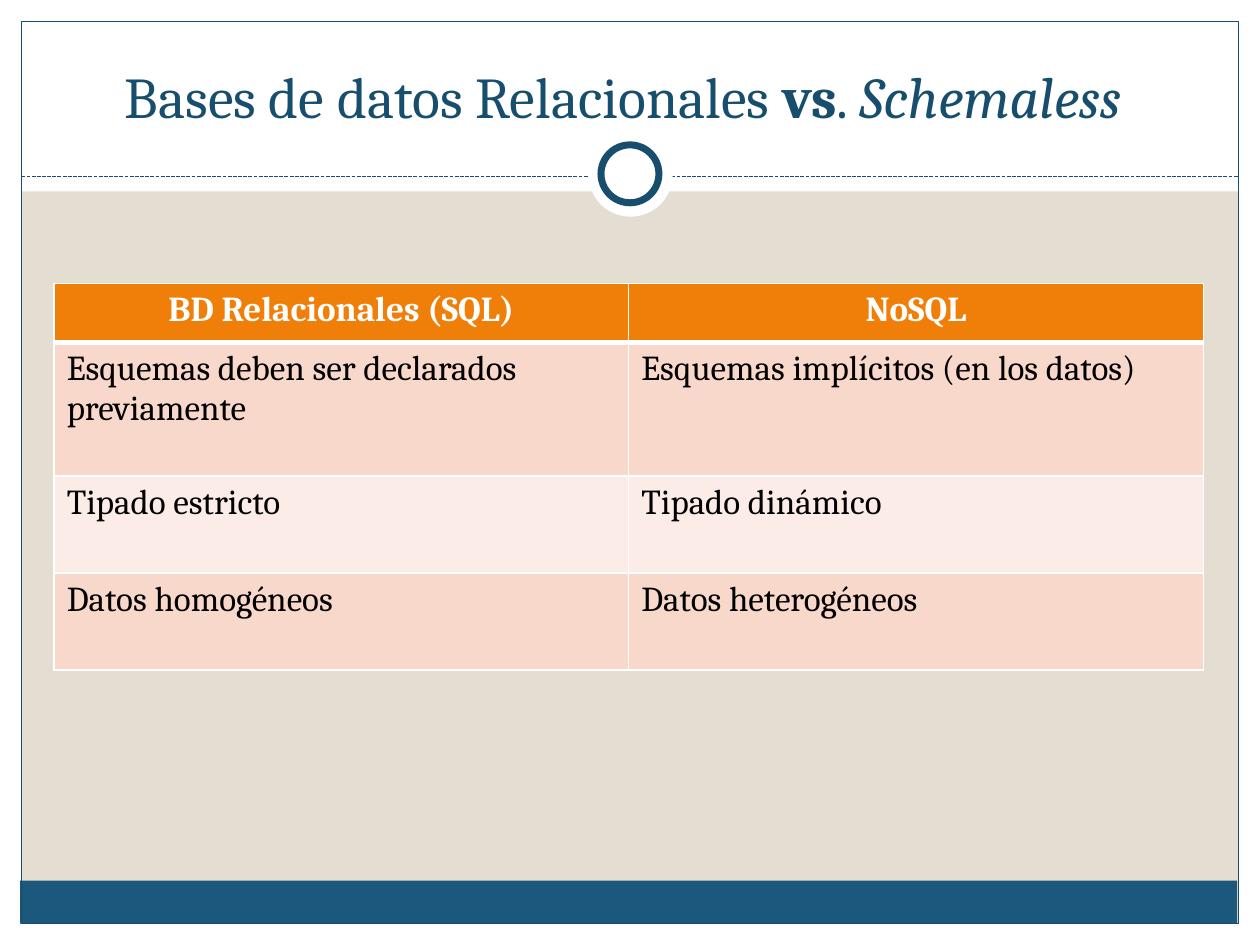
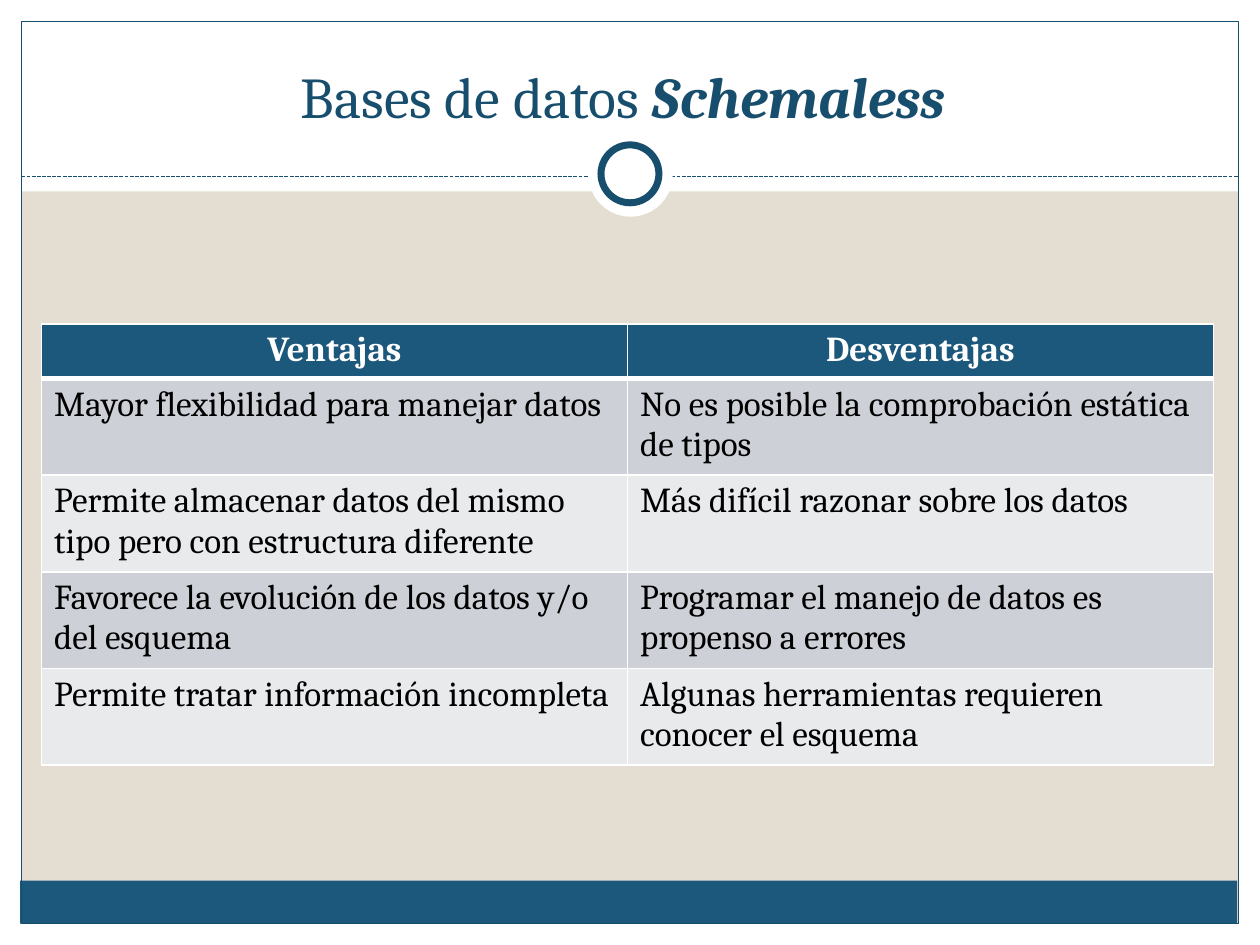
from pptx import Presentation
from pptx.dml.color import RGBColor
from pptx.enum.dml import MSO_LINE
from pptx.enum.shapes import MSO_CONNECTOR, MSO_SHAPE as SHAPE
from pptx.enum.text import MSO_ANCHOR, PP_ALIGN
from pptx.oxml.ns import qn
from pptx.util import Inches, Pt
from lxml.etree import SubElement

FONT = "Cambria"
WHITE = RGBColor(0xFF, 0xFF, 0xFF)
BLACK = RGBColor(0x00, 0x00, 0x00)
SAND = RGBColor(0xE3, 0xDE, 0xD1)
BLUE = RGBColor(0x1B, 0x58, 0x7C)
NAVY = RGBColor(0x18, 0x4E, 0x6D)
ORANGE = RGBColor(0xF0, 0x7F, 0x09)
PEACH = RGBColor(0xF9, 0xD8, 0xCC)
PALE_PEACH = RGBColor(0xFC, 0xEC, 0xE7)
GREY = RGBColor(0xCD, 0xD1, 0xD7)
PALE_GREY = RGBColor(0xE8, 0xEA, 0xEC)

# Shape, (left, top, width, height), fill, line colour, line width
FRAME = [
    (SHAPE.RECTANGLE, (0, 7.33, 10, 0.17), WHITE, None, 0),
    (SHAPE.RECTANGLE, (0, 0, 10, 1.52), WHITE, None, 0),
    (SHAPE.RECTANGLE, (0, 0, 0.17, 7.5), WHITE, None, 0),
    (SHAPE.RECTANGLE, (9.83, 0, 0.17, 7.5), WHITE, None, 0),
    (SHAPE.RECTANGLE, (0.16, 6.99, 9.66, 0.34), BLUE, None, 0),
    (SHAPE.RECTANGLE, (0.17, 0.17, 9.66, 7.16), None, NAVY, 0.75),
]
RING = [
    (SHAPE.OVAL, (4.67, 1.05, 0.67, 0.67), WHITE, None, 0),
    (SHAPE.OVAL, (4.77, 1.15, 0.46, 0.46), WHITE, NAVY, 4),
]

# Title runs are (text, bold, italic); row_colors are header, odd and even rows
SLIDES = [
    dict(
        title=[("Bases de datos Relacionales ", False, False), ("vs", True, False),
               (". ", False, False), ("Schemaless ", False, True)],
        left=0.43, top=2.25, col_width=4.56,
        row_heights=[0.47, 1.06, 0.77, 0.77],
        row_colors=(ORANGE, PEACH, PALE_PEACH),
        rows=[("BD Relacionales (SQL)", "NoSQL"),
              ("Esquemas deben ser declarados previamente",
               "Esquemas implícitos (en los datos)"),
              ("Tipado estricto", "Tipado dinámico"),
              ("Datos homogéneos", "Datos heterogéneos")],
    ),
    dict(
        title=[("Bases de datos ", False, False), ("Schemaless ", True, True)],
        left=0.33, top=2.57, col_width=4.65,
        row_heights=[0.41] + [0.74] * 4,
        row_colors=(BLUE, GREY, PALE_GREY),
        rows=[("Ventajas", "Desventajas"),
              ("Mayor flexibilidad para manejar datos",
               "No es posible la comprobación estática de tipos"),
              ("Permite almacenar datos del mismo tipo pero con estructura diferente",
               "Más difícil razonar sobre los datos"),
              ("Favorece la evolución de los datos y/o del esquema",
               "Programar el manejo de datos es propenso a errores"),
              ("Permite tratar información incompleta",
               "Algunas herramientas requieren conocer el esquema")],
    ),
]


def add_shapes(shapes, specs):
    for kind, box, fill, line, width in specs:
        sp = shapes.add_shape(kind, *map(Inches, box))
        sp.shadow.inherit = False
        if fill is None:
            sp.fill.background()
        else:
            sp.fill.solid()
            sp.fill.fore_color.rgb = fill
        if line is None:
            sp.line.fill.background()
        else:
            sp.line.color.rgb = line
            sp.line.width = Pt(width)


def add_run(p, text, size, color, bold=False, italic=False):
    r = p.add_run()
    r.text = text
    r.font.name = FONT
    r.font.size = Pt(size)
    r.font.color.rgb = color
    r.font.bold = bold
    r.font.italic = italic


prs = Presentation()
prs.slide_width, prs.slide_height = Inches(10), Inches(7.5)

for content in SLIDES:
    s = prs.slides.add_slide(prs.slide_layouts[6])
    s.background.fill.solid()
    s.background.fill.fore_color.rgb = SAND

    # Frame, dashed rule and ring
    add_shapes(s.shapes, FRAME)
    rule = s.shapes.add_connector(MSO_CONNECTOR.STRAIGHT, Inches(0.17), Inches(1.4),
                                  Inches(9.83), Inches(1.4))
    rule.line.color.rgb = NAVY
    rule.line.width = Pt(0.75)
    rule.line.dash_style = MSO_LINE.SQUARE_DOT
    SubElement(rule.line._get_or_add_ln().getparent(), qn("a:effectLst"))
    add_shapes(s.shapes, RING)

    # Title
    tf = s.shapes.add_textbox(Inches(0.33), Inches(0.25), Inches(9.33), Inches(0.83)).text_frame
    tf.word_wrap = True
    tf.vertical_anchor = MSO_ANCHOR.BOTTOM
    p = tf.paragraphs[0]
    p.alignment = PP_ALIGN.CENTER
    for text, bold, italic in content["title"]:
        add_run(p, text, 33, NAVY, bold, italic)

    # Comparison table
    rows, heights = content["rows"], content["row_heights"]
    header_color, odd_color, even_color = content["row_colors"]
    table = s.shapes.add_table(len(rows), 2, Inches(content["left"]), Inches(content["top"]),
                               Inches(2 * content["col_width"]), Inches(sum(heights))).table
    for column in table.columns:
        column.width = Inches(content["col_width"])
    for i, (texts, height) in enumerate(zip(rows, heights)):
        table.rows[i].height = Inches(height)
        is_header = i == 0
        fill = header_color if is_header else odd_color if i % 2 else even_color
        borders = {"L": 1, "R": 1, "T": 3 if i == 1 else 1, "B": 3 if is_header else 1}
        for j, text in enumerate(texts):
            cell = table.cell(i, j)
            tcPr = cell._tc.get_or_add_tcPr()
            for side, width in borders.items():
                ln = SubElement(tcPr, qn(f"a:ln{side}"), w=str(Pt(width)))
                SubElement(SubElement(ln, qn("a:solidFill")), qn("a:srgbClr"), val=str(WHITE))
            cell.fill.solid()
            cell.fill.fore_color.rgb = fill
            p = cell.text_frame.paragraphs[0]
            p.alignment = PP_ALIGN.CENTER if is_header else PP_ALIGN.LEFT
            add_run(p, text, 20, WHITE if is_header else BLACK, bold=is_header)

prs.save("out.pptx")
